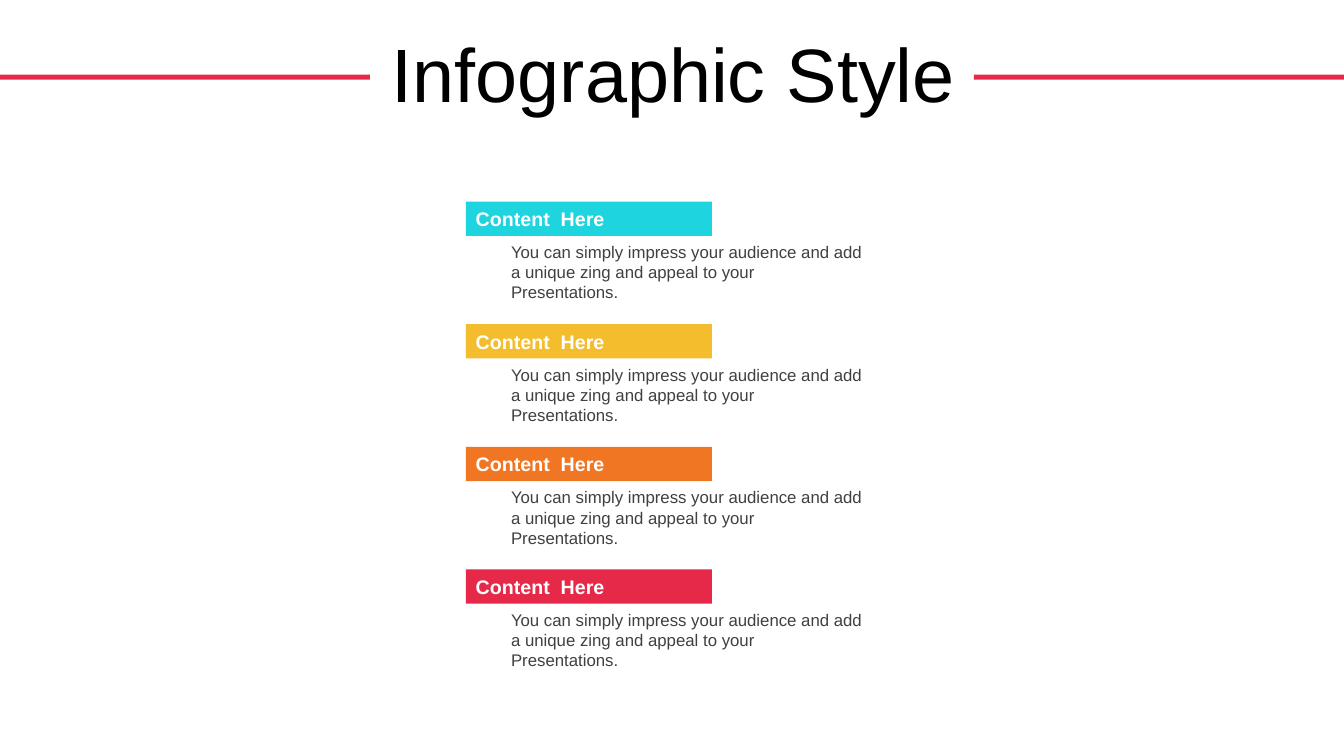
from pptx import Presentation
from pptx.dml.color import RGBColor
from pptx.enum import shapes, text
from pptx.util import Inches, Pt

BLACK = RGBColor(0x00, 0x00, 0x00)
WHITE = RGBColor(0xFF, 0xFF, 0xFF)
GREY = RGBColor(0x40, 0x40, 0x40)
CYAN = RGBColor(0x1E, 0xD4, 0xDE)
YELLOW = RGBColor(0xF4, 0xBD, 0x2D)
ORANGE = RGBColor(0xF0, 0x76, 0x24)
RED = RGBColor(0xE6, 0x29, 0x49)

# Content
TITLE = "Infographic Style"
DESCRIPTION = ("You can simply impress your audience and add a unique zing "
               "and appeal to your Presentations.")
SECTIONS = [
    ("Content  Here", DESCRIPTION, CYAN),
    ("Content  Here", DESCRIPTION, YELLOW),
    ("Content  Here", DESCRIPTION, ORANGE),
    ("Content  Here", DESCRIPTION, RED),
]

# Layout in inches
SLIDE_W, SLIDE_H = 13.33, 7.5
RULE_W = 3.67
HEADING_LEFT, HEADING_W, HEADING_H = 4.62, 2.44, 0.34
FIRST_TOP, LAST_TOP = 2, 5.65
PITCH = (LAST_TOP - FIRST_TOP) / (len(SECTIONS) - 1)
DESCRIPTION_DX, DESCRIPTION_DY = 0.35, 0.35


def add_bar(slide, left, top, width, height, color):
    bar = slide.shapes.add_shape(
        shapes.MSO_SHAPE.RECTANGLE,
        Inches(left), Inches(top), Inches(width), Inches(height))
    bar.shadow.inherit = False
    bar.fill.solid()
    bar.fill.fore_color.rgb = color
    bar.line.fill.background()
    return bar


def write(frame, words, size, color, align=text.PP_ALIGN.LEFT, bold=False):
    frame.word_wrap = True
    frame.auto_size = text.MSO_AUTO_SIZE.NONE
    frame.text = words
    paragraph = frame.paragraphs[0]
    paragraph.alignment = align
    font = paragraph.font
    font.name, font.size, font.bold = "Arial", Pt(size), bold
    font.color.rgb = color
    return paragraph


def main():
    deck = Presentation()
    deck.slide_width, deck.slide_height = Inches(SLIDE_W), Inches(SLIDE_H)
    slide = deck.slides.add_slide(deck.slide_layouts[5])

    # Title between two red rules
    for left in (0, SLIDE_W - RULE_W):
        add_bar(slide, left, 0.74, RULE_W, 0.05, RED)
    title = slide.shapes.title
    title.left, title.top = Inches(0.35), Inches(0.31)
    title.width, title.height = Inches(12.66), Inches(0.92)
    title.text_frame.vertical_anchor = text.MSO_ANCHOR.MIDDLE
    write(title.text_frame, TITLE, 54, BLACK,
          text.PP_ALIGN.CENTER).line_spacing = 0.9

    # Coloured headings, each with its description below
    for row, (heading, description, color) in enumerate(SECTIONS):
        top = FIRST_TOP + row * PITCH
        bar = add_bar(slide, HEADING_LEFT, top, HEADING_W, HEADING_H, color)
        bar.text_frame.vertical_anchor = text.MSO_ANCHOR.MIDDLE
        write(bar.text_frame, heading, 14, WHITE, bold=True)

        body = slide.shapes.add_textbox(
            Inches(HEADING_LEFT + DESCRIPTION_DX), Inches(top + DESCRIPTION_DY),
            Inches(3.69), Inches(0.5))
        write(body.text_frame, description, 12, GREY)

    deck.save("out.pptx")


if __name__ == "__main__":
    main()
